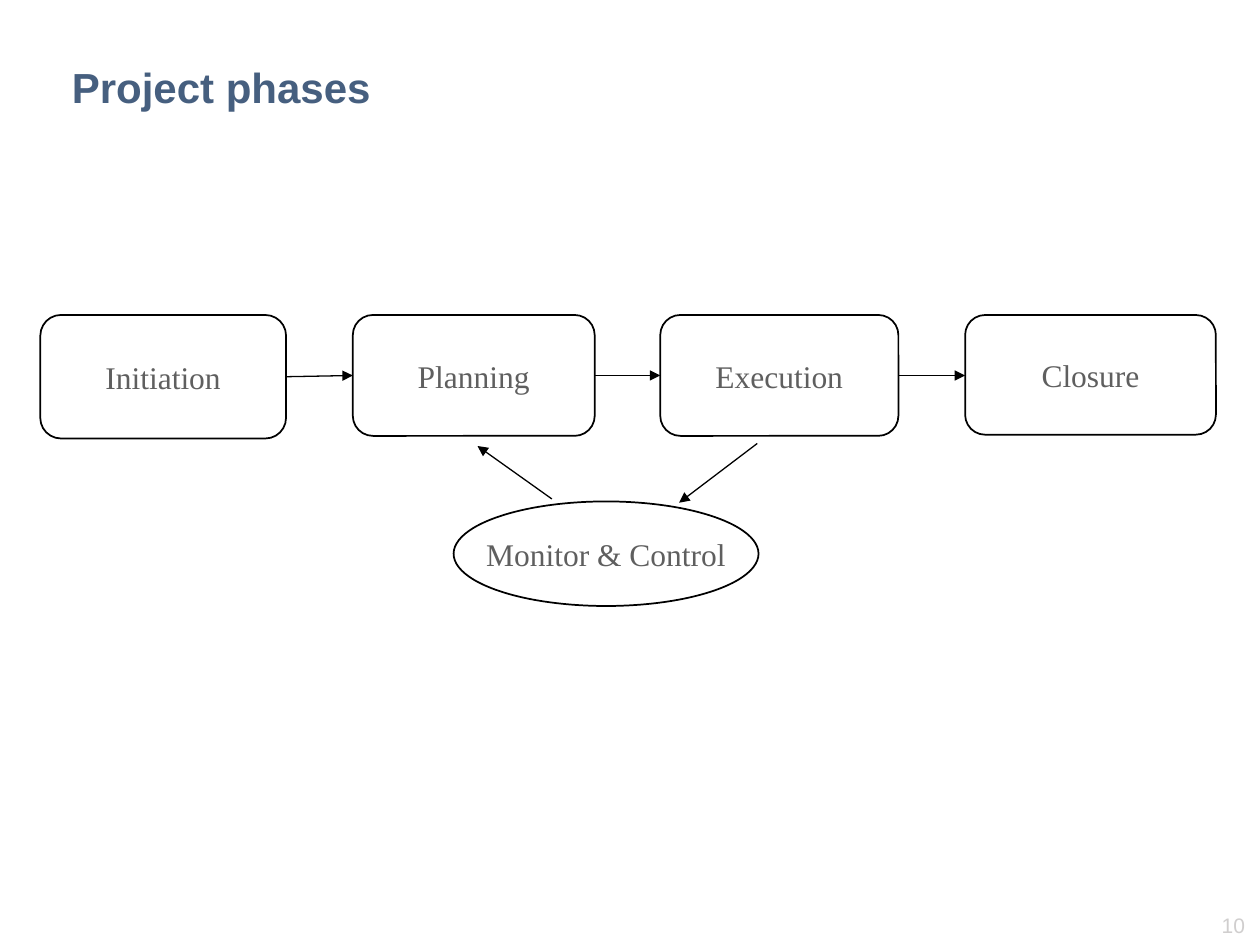
"""Build the project phases slide: four linked phases with a monitoring loop."""
import pptx
import pptx.util
import pptx.dml.color
import pptx.enum.shapes
import pptx.enum.text
import pptx.oxml
import pptx.oxml.ns

Inches = pptx.util.Inches
Align = pptx.enum.text.PP_ALIGN
Anchor = pptx.enum.text.MSO_ANCHOR
Shape = pptx.enum.shapes.MSO_SHAPE

THEME = {
    "title": {"name": "Arial", "size": 24, "bold": True, "color": "465F7F"},
    "label": {"name": "Times New Roman", "size": 18, "bold": False, "color": "5F5F5F"},
    "number": {"name": "Arial", "size": 12, "bold": False, "color": "D0CECE"},
    "line": "000000",
    "outline": 1,
    "arrow": 0.75,
}


def write(box, text, style, align, anchor, wrap):
    """Put one styled paragraph into a shape."""
    frame = box.text_frame
    frame_format = {
        "word_wrap": wrap, "vertical_anchor": anchor,
        "auto_size": pptx.enum.text.MSO_AUTO_SIZE.NONE,
        "margin_left": Inches(0.1), "margin_right": Inches(0.1),
        "margin_top": Inches(0.05), "margin_bottom": Inches(0.05),
    }
    for name, value in frame_format.items():
        setattr(frame, name, value)
    para = frame.paragraphs[0]
    para.alignment = align
    span = para.add_run()
    span.text = text
    look = THEME[style]
    font_format = {"name": look["name"], "size": pptx.util.Pt(look["size"]), "bold": look["bold"]}
    for name, value in font_format.items():
        setattr(span.font, name, value)
    span.font.color.rgb = pptx.dml.color.RGBColor.from_string(look["color"])


def draw_line(line, width):
    """Give a line the theme colour and a width in points."""
    line.color.rgb = pptx.dml.color.RGBColor.from_string(THEME["line"])
    line.width = pptx.util.Pt(width)


deck = pptx.Presentation()
deck.slide_width, deck.slide_height = Inches(10), Inches(7.5)
page = deck.slides.add_slide(deck.slide_layouts[5])

title = page.shapes.title
title_place = {"left": 0.47, "top": 0.41, "width": 8.47, "height": 0.56}
for name, value in title_place.items():
    setattr(title, name, Inches(value))
write(title, "Project phases", "title", Align.LEFT, Anchor.MIDDLE, True)

number = page.shapes.add_textbox(Inches(9.16), Inches(7.19), Inches(0.82), Inches(0.3))
write(number, "10", "number", Align.RIGHT, Anchor.TOP, True)

phase_top = 2.5
phases = [
    ("Initiation", 0.32, 1.95, 0.98),
    ("Planning", 2.8, 1.92, 0.96),
    ("Execution", 5.24, 1.89, 0.96),
    ("Closure", 7.66, 1.99, 0.95),
]
nodes = [(Shape.ROUNDED_RECTANGLE, text, left, phase_top, width, height)
         for text, left, width, height in phases]
nodes.append((Shape.OVAL, "Monitor & Control", 3.6, 3.98, 2.42, 0.83))

for kind, text, left, top, width, height in nodes:
    box = page.shapes.add_shape(kind, Inches(left), Inches(top), Inches(width), Inches(height))
    box.shadow.inherit = False
    box.fill.background()
    draw_line(box.line, THEME["outline"])
    write(box, text, "label", Align.CENTER, Anchor.MIDDLE, False)

arrows = [
    (left + width, phase_top + height / 2, following[1], 2.98)
    for (text, left, width, height), following in zip(phases, phases[1:])
]
arrows += [(6.01, 3.52, 5.39, 3.99), (4.38, 3.96, 3.79, 3.54)]

for ends in arrows:
    arrow = page.shapes.add_connector(
        pptx.enum.shapes.MSO_CONNECTOR.STRAIGHT, *[Inches(end) for end in ends])
    draw_line(arrow.line, THEME["arrow"])
    head = pptx.oxml.parse_xml(
        f'<a:tailEnd {pptx.oxml.ns.nsdecls("a")} type="triangle"/>')
    arrow.line._get_or_add_ln().append(head)
    arrow._element.spPr.append(
        pptx.oxml.parse_xml(f'<a:effectLst {pptx.oxml.ns.nsdecls("a")}/>'))

deck.save("out.pptx")
